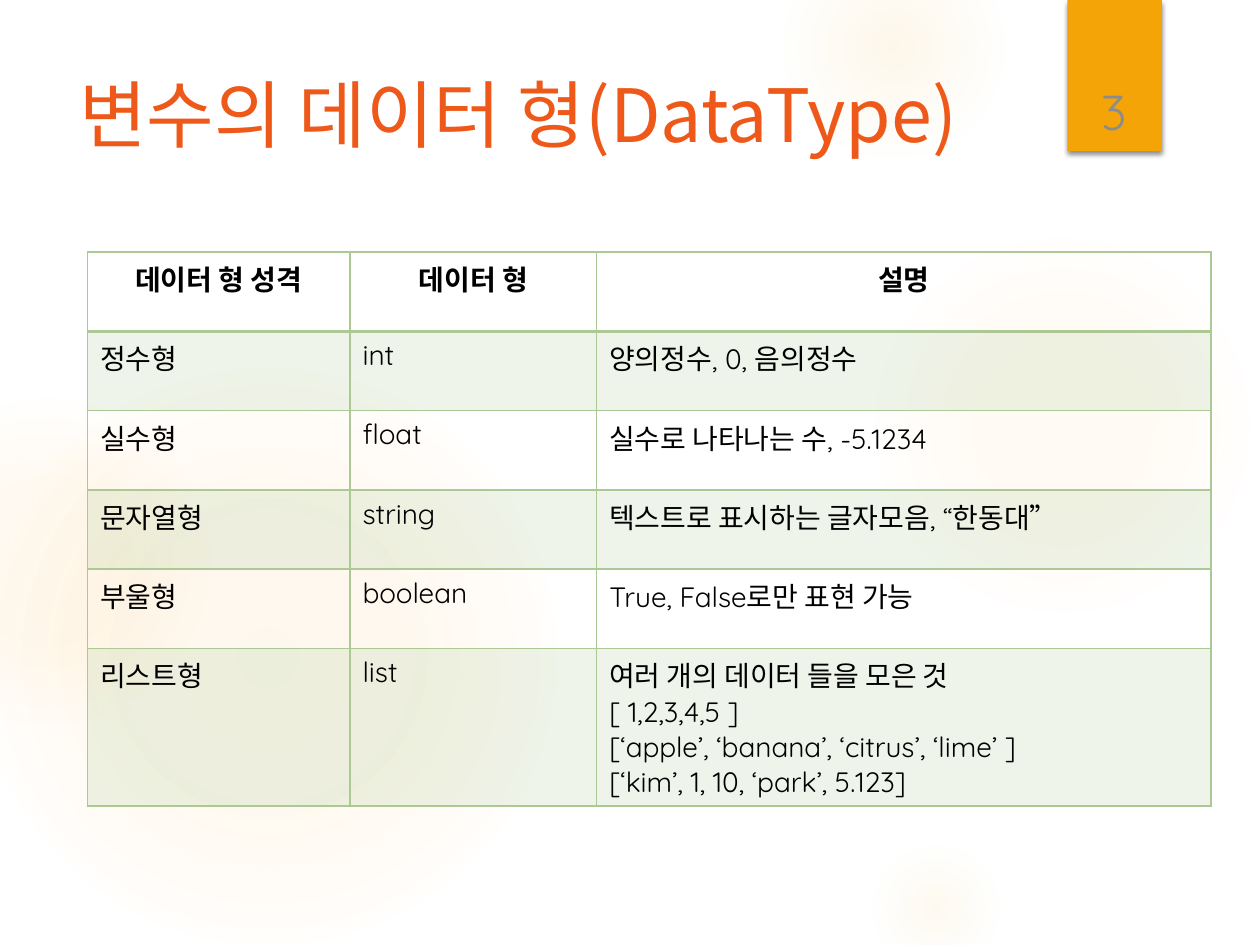
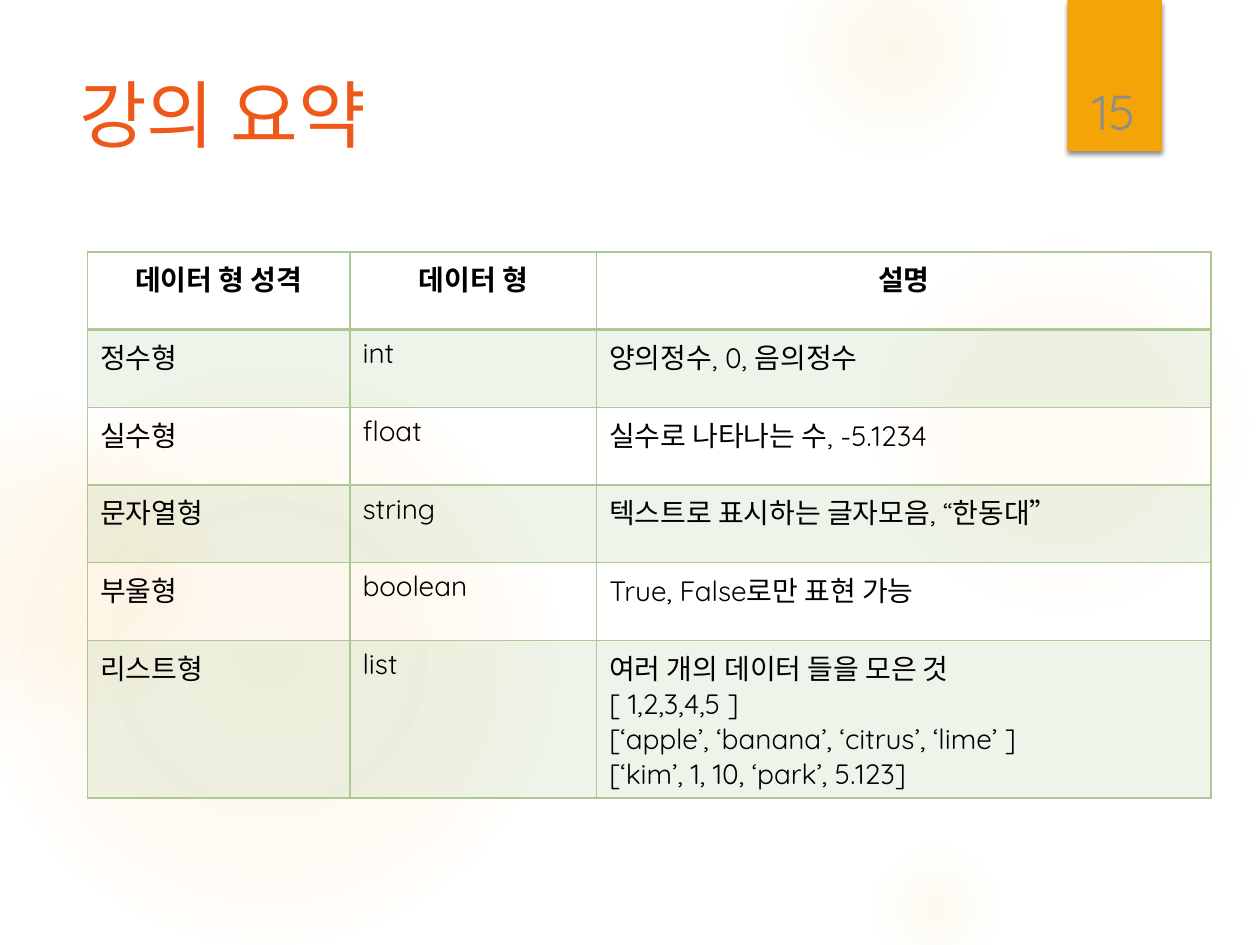
from lxml.etree import SubElement
from pptx import Presentation
from pptx.dml.color import RGBColor
from pptx.enum.shapes import MSO_SHAPE as Shape
from pptx.enum.text import MSO_ANCHOR as Anchor, MSO_AUTO_SIZE as AutoSize, PP_ALIGN as Align
from pptx.oxml import parse_xml
from pptx.oxml.ns import nsdecls, qn
from pptx.util import Pt

ORANGE, AMBER, GLOW, GREEN = "EE5818", "F5A408", "FAC96A", "ACC995"
BLACK, GRAY = "000000", "8C8C8C"
LATIN, KOREAN = "Quicksand", "Noto Sans CJK KR"

HEADER = ("데이터 형 성격", "데이터 형", "설명")
DATA_TYPES = [
    ("정수형", "int", "양의정수, 0, 음의정수"),
    ("실수형", "float", "실수로 나타나는 수, -5.1234"),
    ("문자열형", "string", "텍스트로 표시하는 글자모음, “한동대”"),
    ("부울형", "boolean", "True, False로만 표현 가능"),
    ("리스트형", "list", "여러 개의 데이터 들을 모은 것\n[ 1,2,3,4,5 ]\n"
     "[‘apple’, ‘banana’, ‘citrus’, ‘lime’ ]\n[‘kim’, 1, 10, ‘park’, 5.123]"),
]
SLIDES = [
    {"title": "변수의 데이터 형(DataType)", "number": "3", "row": 45.3, "last_row": 78.5},
    {"title": "강의 요약", "number": "15", "row": 44.4, "last_row": 77},
]

# left, top, diameter, gradient stops as (position %, opacity %)
GLOWS = [
    (496, 132, 222, [(0, 7), (36, 6), (69, 0)]),
    (448, -36, 126, [(0, 14), (36, 7), (73, 0)]),
    (496, 480, 78, [(0, 10), (31, 5), (66, 0)]),
    (-12, 210, 330, [(0, 11), (36, 10), (75, 0)]),
    (-66, 228, 186, [(0, 8), (36, 8), (72, 0)]),
]
TITLE_BOX = (38, 36, 556, 110)
BAND_BOX = (610, 0, 54, 86.4)
NUMBER_BOX = (611.5, 23, 50, 60.5)
TABLE_LEFT, TABLE_TOP = 50, 144
COLUMNS = (150, 141, 351)


def color(value):
    return RGBColor.from_string(value)


def points(box):
    return [Pt(value) for value in box]


def style_text(frame, size, ink, latin=LATIN, align=Align.LEFT, bold=False):
    for paragraph in frame.paragraphs:
        paragraph.alignment = align
        font = paragraph.font
        font.name, font.size, font.bold = latin, Pt(size), bold
        font.color.rgb = color(ink)
        defaults = paragraph._p.pPr.find(qn("a:defRPr"))
        SubElement(defaults, qn("a:ea"), typeface=KOREAN)


def add_plain_shape(slide, kind, box):
    shape = slide.shapes.add_shape(kind, *points(box))
    shape.shadow.inherit = False
    shape.line.fill.background()
    return shape


def add_glow(slide, left, top, size, stops):
    shape = add_plain_shape(slide, Shape.OVAL, (left, top, size, size))
    shape.fill.background()
    stop_xml = "".join(
        f'<a:gs pos="{position * 1000}"><a:srgbClr val="{GLOW}">'
        f'<a:alpha val="{opacity * 1000}"/></a:srgbClr></a:gs>'
        for position, opacity in stops)
    gradient = parse_xml(
        f'<a:gradFill {nsdecls("a")} rotWithShape="1"><a:gsLst>{stop_xml}</a:gsLst>'
        '<a:path path="circle"><a:fillToRect l="50000" t="50000" r="50000" b="50000"/>'
        '</a:path></a:gradFill>')
    properties = shape._element.spPr
    properties.replace(properties.find(qn("a:noFill")), gradient)


def add_band(slide, number):
    band = add_plain_shape(slide, Shape.RECTANGLE, BAND_BOX)
    band.fill.solid()
    band.fill.fore_color.rgb = color(AMBER)
    band._element.spPr.find(qn("a:effectLst")).append(parse_xml(
        f'<a:outerShdw {nsdecls("a")} blurRad="{Pt(3)}" dist="{Pt(2)}" dir="5400000" '
        f'rotWithShape="0"><a:srgbClr val="{BLACK}"><a:alpha val="45000"/></a:srgbClr>'
        '</a:outerShdw>'))
    frame = slide.shapes.add_textbox(*points(NUMBER_BOX)).text_frame
    frame.word_wrap = True
    frame.vertical_anchor = Anchor.BOTTOM
    frame.text = number
    style_text(frame, 28, GRAY, align=Align.CENTER)


def add_title(slide, text):
    title = slide.shapes.title
    title.left, title.top, title.width, title.height = points(TITLE_BOX)
    frame = title.text_frame
    frame.text = text
    frame.word_wrap = True
    frame.auto_size = AutoSize.NONE
    frame.vertical_anchor = Anchor.TOP
    style_text(frame, 42, ORANGE, latin=KOREAN)
    slide.shapes._spTree.append(title._element)


def set_borders(cell, widths):
    properties = cell._tc.get_or_add_tcPr()
    for side, width in widths.items():
        properties.append(parse_xml(
            f'<a:ln{side} {nsdecls("a")} w="{Pt(width)}"><a:solidFill>'
            f'<a:srgbClr val="{GREEN}"/></a:solidFill></a:ln{side}>'))


def add_type_table(slide, row_height, last_height):
    rows = [HEADER, *DATA_TYPES]
    heights = [row_height] * (len(rows) - 1) + [last_height]
    box = (TABLE_LEFT, TABLE_TOP, sum(COLUMNS), sum(heights))
    table = slide.shapes.add_table(len(rows), len(COLUMNS), *points(box)).table
    table.first_row = table.horz_banding = False
    for column, width in zip(table.columns, COLUMNS):
        column.width = Pt(width)
    for index, (texts, height) in enumerate(zip(rows, heights)):
        table.rows[index].height = Pt(height)
        header = index == 0
        for cell, text in zip(table.rows[index].cells, texts):
            cell.text = text
            style_text(cell.text_frame, 16, BLACK, bold=header,
                       align=Align.CENTER if header else Align.LEFT)
            set_borders(cell, {"L": 1, "R": 1, "T": 2 if index == 1 else 1,
                               "B": 2 if header else 1})
            if index % 2:
                cell.fill.solid()
                cell.fill.fore_color.rgb = color(GREEN)
                tint = cell._tc.tcPr.find(qn("a:solidFill")).find(qn("a:srgbClr"))
                SubElement(tint, qn("a:alpha"), val="20000")
            else:
                cell.fill.background()


def main():
    """Build the data type slides and save them."""
    presentation = Presentation()
    presentation.slide_width, presentation.slide_height = Pt(720), Pt(540)
    for content in SLIDES:
        slide = presentation.slides.add_slide(presentation.slide_layouts[5])
        for glow in GLOWS:
            add_glow(slide, *glow)
        add_band(slide, content["number"])
        add_title(slide, content["title"])
        add_type_table(slide, content["row"], content["last_row"])
    presentation.save("out.pptx")


if __name__ == "__main__":
    main()
